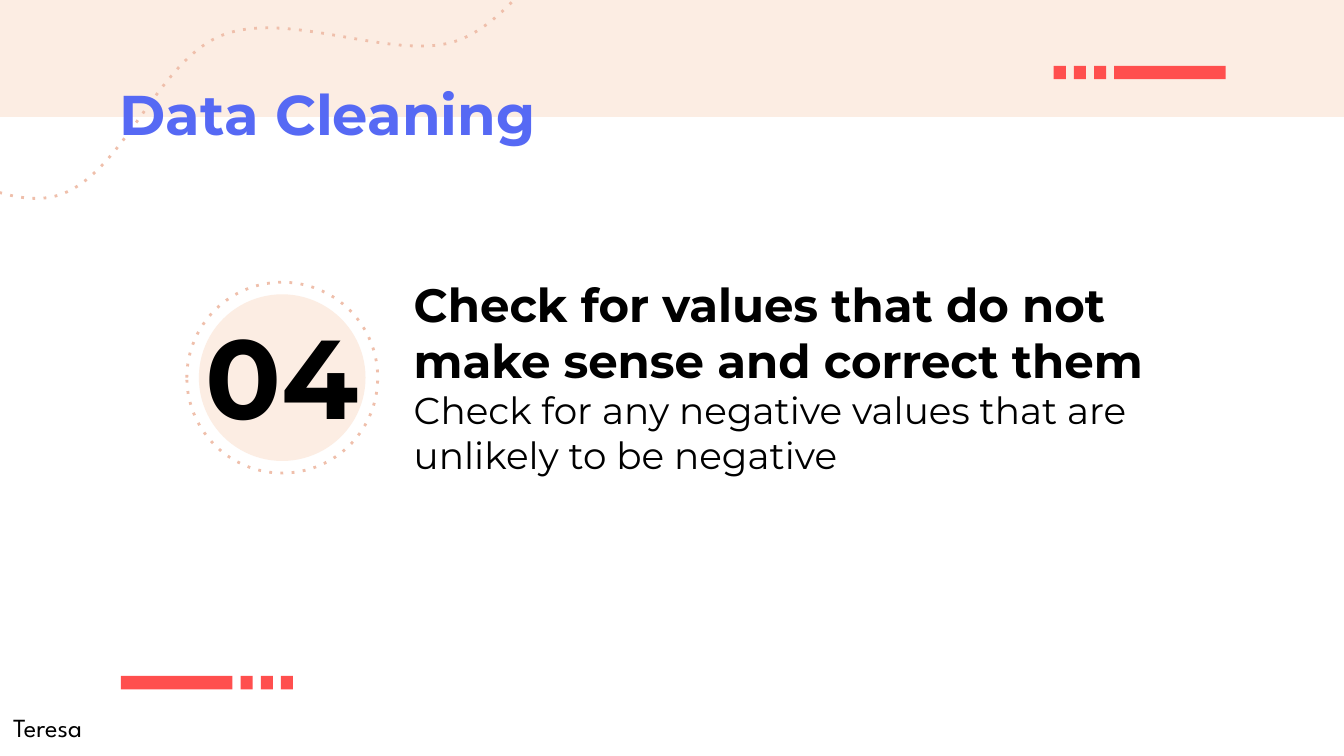
from dataclasses import dataclass

import pptx
import pptx.dml.color
import pptx.enum.dml
import pptx.enum.shapes
import pptx.enum.text
import pptx.oxml
import pptx.oxml.ns
import pptx.util
from pptx.util import Inches

SHAPE = pptx.enum.shapes.MSO_SHAPE
ALIGN = pptx.enum.text.PP_ALIGN
ANCHOR = pptx.enum.text.MSO_ANCHOR
AUTOSIZE = pptx.enum.text.MSO_AUTO_SIZE
qn = pptx.oxml.ns.qn


@dataclass(frozen=True)
class Theme:
    peach: str = "FCEDE3"
    dots: str = "EFBFAB"
    red: str = "FF4F4E"
    blue: str = "5669F4"
    black: str = "000000"
    font: str = "Montserrat"
    name_font: str = "League Spartan"
    title: int = 30
    number: int = 60
    heading: int = 25
    body: int = 20
    name: int = 14
    dot_width: float = 1.5


THEME = Theme()

# Start point, then two control points and an end point for each curve
WAVE = [
    (-2.95, 2.21),
    (-2.69, 2.01), (-1.93, 1.17), (-1.37, 1.04),
    (-0.81, 0.92), (-0.1, 1.59), (0.41, 1.46),
    (0.91, 1.33), (1.16, 0.45), (1.66, 0.26),
    (2.16, 0.07), (2.95, 0.47), (3.41, 0.3),
    (3.87, 0.13), (4.24, -0.59), (4.41, -0.76),
]


def rgb(value):
    return pptx.dml.color.RGBColor.from_string(value)


def make_dotted(shape):
    """Leave only a dotted outline on the shape."""
    shape.shadow.inherit = False
    shape.fill.background()
    shape.line.color.rgb = rgb(THEME.dots)
    shape.line.width = pptx.util.Pt(THEME.dot_width)
    shape.line.dash_style = pptx.enum.dml.MSO_LINE.ROUND_DOT
    # Widely spaced dots have no member in the enumeration
    for dash in shape.element.iter(qn("a:prstDash")):
        dash.set("val", "dot")


def add_solid(shapes, kind, left, top, width, height, color):
    shape = shapes.add_shape(
        kind, Inches(left), Inches(top), Inches(width), Inches(height))
    shape.shadow.inherit = False
    shape.fill.solid()
    shape.fill.fore_color.rgb = rgb(color)
    shape.line.fill.background()
    return shape


def add_wave(page, points):
    """Draw a dotted chain of cubic curves."""
    start, *rest = [(Inches(x), Inches(y)) for x, y in points]
    builder = page.shapes.build_freeform(*start)
    builder.add_line_segments(rest, close=False)
    wave = builder.convert_to_shape()
    make_dotted(wave)
    # Join every three straight segments into one cubic curve
    segments = list(wave.element.iter(qn("a:lnTo")))
    for first in range(0, len(segments), 3):
        curve = pptx.oxml.parse_xml(
            "<a:cubicBezTo %s/>" % pptx.oxml.ns.nsdecls("a"))
        segments[first].addprevious(curve)
        for segment in segments[first:first + 3]:
            curve.append(segment[0])
            segment.getparent().remove(segment)


def add_dashes(page, top, bar_left, blocks_left):
    """Group one long bar with three small blocks."""
    group = page.shapes.add_group_shape()
    pieces = [(bar_left, 0.83)]
    pieces += [(blocks_left + 0.15 * step, 0.09) for step in range(3)]
    for left, width in pieces:
        add_solid(group.shapes, SHAPE.RECTANGLE, left, top, width, 0.1, THEME.red)


def write_text(box, lines, font=THEME.font, color=THEME.black,
               align=ALIGN.LEFT, anchor=ANCHOR.TOP, autosize=AUTOSIZE.NONE):
    """Write lines of (text, size, bold), one paragraph each."""
    frame = box.text_frame
    frame.word_wrap = True
    frame.auto_size = autosize
    frame.vertical_anchor = anchor
    frame.margin_left = frame.margin_right = Inches(0.1)
    frame.margin_top = frame.margin_bottom = Inches(0.1)
    for index, (text, size, bold) in enumerate(lines):
        para = frame.add_paragraph() if index else frame.paragraphs[0]
        para.alignment = align
        span = para.add_run()
        span.text = text
        span.font.name = font
        span.font.size = pptx.util.Pt(size)
        span.font.bold = bold
        span.font.color.rgb = rgb(color)


def add_text(page, left, top, width, height, lines, **style):
    box = page.shapes.add_textbox(
        Inches(left), Inches(top), Inches(width), Inches(height))
    write_text(box, lines, **style)


def place_title(page, text):
    title = page.shapes.title
    title.left, title.top = Inches(0.79), Inches(0.49)
    title.width, title.height = Inches(8.43), Inches(0.63)
    write_text(title, [(text, THEME.title, True)], color=THEME.blue)
    # Bring the title in front of the decoration
    title.element.getparent().append(title.element)


def add_number(page, text):
    """Draw a number on a disc inside a dotted ring."""
    ring = page.shapes.add_shape(
        SHAPE.OVAL, Inches(1.39), Inches(2.1), Inches(1.42), Inches(1.42))
    make_dotted(ring)
    add_solid(page.shapes, SHAPE.OVAL, 1.48, 2.19, 1.24, 1.24, THEME.peach)
    add_text(page, 0.84, 2.23, 2.52, 1.16, [(text, THEME.number, True)],
             align=ALIGN.CENTER, anchor=ANCHOR.BOTTOM)


def main():
    # Widescreen page, 16 by 9
    deck = pptx.Presentation()
    deck.slide_width, deck.slide_height = Inches(10), Inches(10 * 9 / 16)
    page = deck.slides.add_slide(deck.slide_layouts[5])

    # Decoration
    add_solid(page.shapes, SHAPE.RECTANGLE, -0.01, 0, 10.01, 0.87, THEME.peach)
    add_wave(page, WAVE)
    add_dashes(page, top=0.49, bar_left=8.29, blocks_left=7.84)
    add_dashes(page, top=5.03, bar_left=0.9, blocks_left=1.79)

    # Content
    place_title(page, "Data Cleaning")
    add_text(page, 2.98, 1.95, 5.68, 1.72, [
        ("Check for values that do not make sense and correct them",
         THEME.heading, True),
        ("Check for any negative values that are unlikely to be negative",
         THEME.body, False),
    ], autosize=AUTOSIZE.SHAPE_TO_FIT_TEXT)
    add_number(page, "04")

    # Presenter
    add_text(page, 0, 5.19, 0.86, 0.44, [("Teresa", THEME.name, False)],
             font=THEME.name_font, autosize=AUTOSIZE.SHAPE_TO_FIT_TEXT)

    deck.save("out.pptx")


if __name__ == "__main__":
    main()
